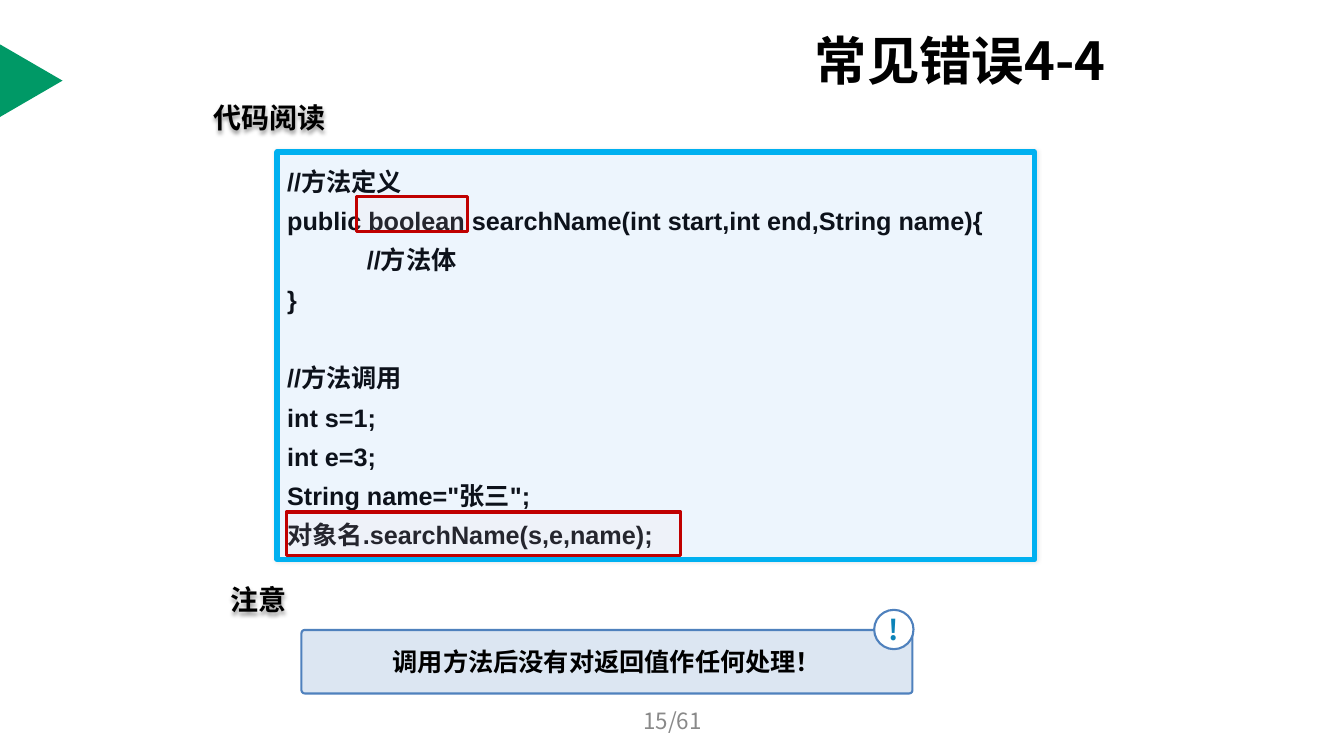
from lxml import etree
from pptx import Presentation
from pptx.dml.color import RGBColor
from pptx.enum.shapes import MSO_SHAPE as Preset
from pptx.enum.text import MSO_ANCHOR as Anchor, PP_ALIGN as Align
from pptx.oxml.ns import qn
from pptx.util import Inches, Pt

COLORS = {
    "accent": "009966", "black": "000000", "code_fill": "EDF5FD",
    "code_line": "00B0F0", "code_text": "0D121B", "mark_fill": "FFDDDD",
    "mark_line": "C00000", "note_fill": "DCE6F2", "note_line": "4F81BD",
    "white": "FFFFFF", "alert": "0C83B8", "page": "898989",
}
CJK_FONT = "Noto Sans CJK SC"
CODE = """//方法定义
public boolean searchName(int start,int end,String name){
\t\t//方法体
}
//方法调用
int s=1;
int e=3;
String name="张三";
对象名.searchName(s,e,name);"""


def rgb(name):
    """Return the named colour."""
    return RGBColor.from_string(COLORS[name])


def write(shape, text, size=18, color="black", bold=True, font=CJK_FONT,
          align=Align.LEFT, anchor=Anchor.MIDDLE, wrap=True, spacing=None,
          tabs=(), gaps=None):
    """Fill a shape with formatted lines; gaps maps a line index to points before it."""
    frame = shape.text_frame
    frame.word_wrap = wrap
    frame.vertical_anchor = anchor
    for index, line in enumerate(text.split("\n")):
        paragraph = frame.paragraphs[0] if index == 0 else frame.add_paragraph()
        paragraph.alignment = align
        if spacing:
            paragraph.line_spacing = spacing
        if gaps and index in gaps:
            paragraph.space_before = Pt(gaps[index])
        if tabs:
            stops = etree.SubElement(paragraph._p.get_or_add_pPr(), qn("a:tabLst"))
            for stop in tabs:
                etree.SubElement(stops, qn("a:tab"), pos=str(Inches(stop)), algn="l")
        run = paragraph.add_run()
        run.text = line
        run.font.size, run.font.bold, run.font.name = Pt(size), bold, font
        run.font.color.rgb = rgb(color)
        etree.SubElement(run._r.get_or_add_rPr(), qn("a:ea"), typeface=CJK_FONT)


class SlideBuilder:
    """Holds the current slide and draws its elements in one style."""

    def __init__(self, slide):
        """Keep the slide to draw on."""
        self.slide = slide

    def title(self, text, box):
        """Place and format the title placeholder."""
        heading = self.slide.shapes.title
        heading.left, heading.top, heading.width, heading.height = map(Inches, box)
        write(heading, text, size=37.4)

    def panel(self, preset, box, fill, line=None, weight=1.5, opacity=None, corner=None):
        """Draw a filled preset shape."""
        panel = self.slide.shapes.add_shape(preset, *map(Inches, box))
        panel.shadow.inherit = False
        panel.fill.solid()
        panel.fill.fore_color.rgb = rgb(fill)
        if opacity is not None:
            color = panel._element.spPr.find(qn("a:solidFill"))[0]
            etree.SubElement(color, qn("a:alpha"), val=str(opacity * 1000))
        if line:
            panel.line.color.rgb = rgb(line)
            panel.line.width = Pt(weight)
        else:
            panel.line.fill.background()
        if corner is not None:
            panel.adjustments[0] = corner
        return panel

    def label(self, text, box, **style):
        """Add a text box."""
        label = self.slide.shapes.add_textbox(*map(Inches, box))
        write(label, text, **style)
        return label

    def cast_shadow(self, shape, opacity, blur, distance=0):
        """Give a shape a soft black shadow falling downwards."""
        shape.shadow.inherit = False
        effects = shape._element.spPr.find(qn("a:effectLst"))
        shadow = etree.SubElement(
            effects, qn("a:outerShdw"), blurRad=str(Pt(blur)), dist=str(Pt(distance)),
            dir="5400000", algn="ctr", rotWithShape="0")
        color = etree.SubElement(shadow, qn("a:srgbClr"), val=COLORS["black"])
        etree.SubElement(color, qn("a:alpha"), val=str(opacity * 1000))


def main():
    """Build the slide and save it."""
    deck = Presentation()
    deck.slide_width, deck.slide_height = Inches(13.33), Inches(7.5)
    builder = SlideBuilder(deck.slides.add_slide(deck.slide_layouts[5]))

    pointer = builder.panel(Preset.ISOSCELES_TRIANGLE, (-0.05, 0.49, 0.72, 0.62), "accent")
    pointer.rotation = 90
    builder.title("常见错误4-4", (7.98, 0.31, 3.49, 0.57))

    listing = builder.panel(Preset.ROUNDED_RECTANGLE, (2.75, 1.51, 7.51, 4.04),
                            "code_fill", "code_line", weight=4, corner=0)
    builder.cast_shadow(listing, opacity=10, blur=3)
    write(listing, CODE, color="code_text", font="Arial", anchor=Anchor.TOP,
          spacing=1.3, tabs=(0.49, 0.79), gaps={4: 28})

    for mark in ((2.84, 5.08, 3.91, 0.43), (3.54, 1.95, 1.1, 0.35)):
        builder.panel(Preset.RECTANGLE, mark, "mark_fill", "mark_line",
                      weight=2.25, opacity=10)

    for heading, box in (("代码阅读", (2.02, 0.94, 1.33, 0.44)),
                         ("注意", (2.19, 5.73, 0.77, 0.44))):
        label = builder.label(heading, box, size=20, wrap=False)
        builder.cast_shadow(label, opacity=40, blur=3, distance=2)

    note = builder.panel(Preset.ROUNDED_RECTANGLE, (2.99, 6.25, 6.06, 0.63),
                         "note_fill", "note_line", corner=0.05)
    write(note, "调用方法后没有对返回值作任何处理！", align=Align.CENTER)
    alert = builder.panel(Preset.OVAL, (8.67, 6.05, 0.39, 0.39), "white", "note_line")
    write(alert, "!", size=20, color="alert", align=Align.CENTER, wrap=False)

    builder.label("15/61", (4.56, 6.95, 4.22, 0.4), size=16, color="page",
                  bold=False, align=Align.CENTER)
    deck.save("out.pptx")


if __name__ == "__main__":
    main()
